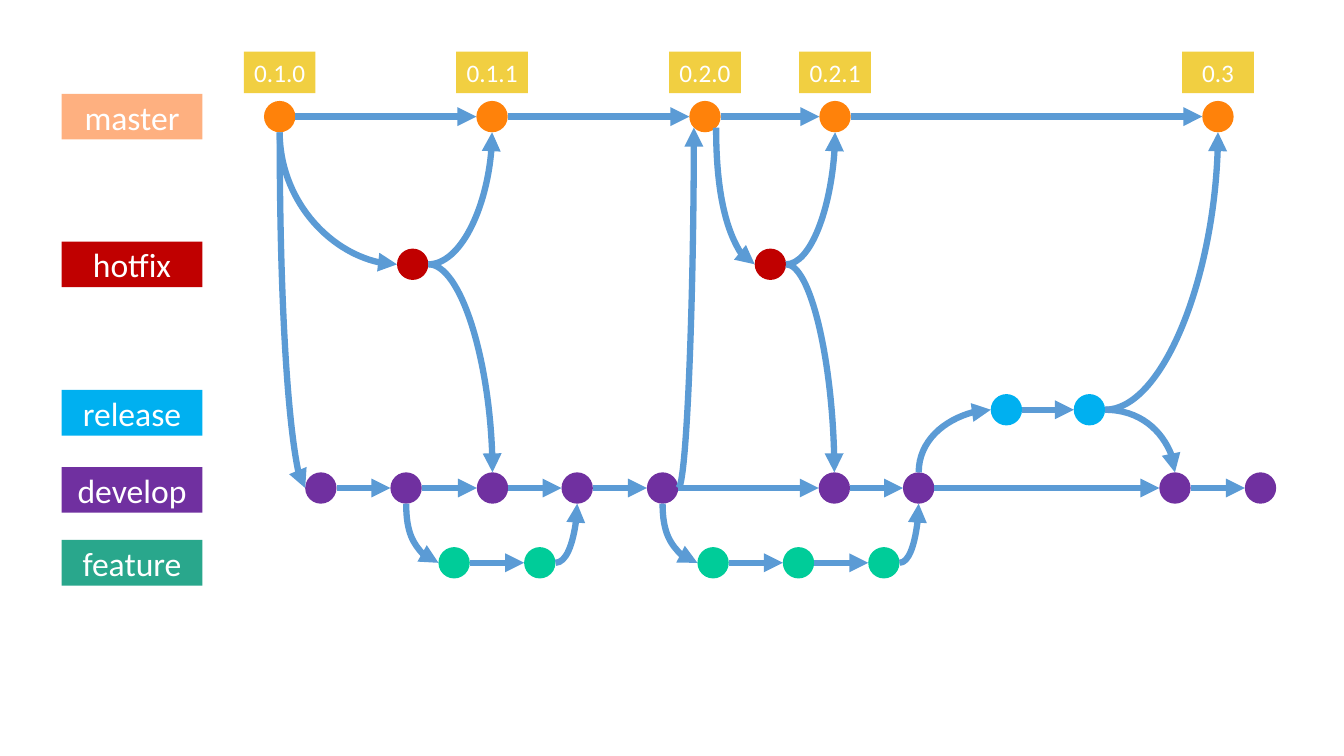
import pptx
import pptx.dml.color
import pptx.enum.shapes
import pptx.enum.text
import pptx.oxml
import pptx.oxml.ns
import pptx.util

Pt = pptx.util.Pt
SHAPES = pptx.enum.shapes.MSO_SHAPE
CONNECTORS = pptx.enum.shapes.MSO_CONNECTOR

FONT, WHITE, ARROW_COLOR, TAG_COLOR = "Calibri", "FFFFFF", "5B9BD5", "F1CF41"
ARROW_WIDTH = 4.5
RADIUS = 11.2
LABEL_LEFT, LABEL_WIDTH, LABEL_HEIGHT = 44, 100.6, 32.6
TAG_TOP, TAG_WIDTH, TAG_HEIGHT = 37, 51.2, 29.6

# branch: (label colour, commit colour, label top, commit centre y, chains of commit centre x)
BRANCHES = {
    "master": ("FEB080", "FF820A", 67, 83.3, [[199.8, 351.5, 503.6, 596.5, 870]]),
    "hotfix": ("C00000", "C00000", 172.6, 188.8, [[294.8], [550.3]]),
    "release": ("00B0F0", "00B0F0", 278.6, 292.7, [[718.9, 778.2]]),
    "develop": ("7030A0", "7030A0", 333.6, 348.6,
                [[229.2, 290.1, 351.8, 412.3, 473.3, 596, 656.2, 839.3, 900.4]]),
    "feature": ("29A78C", "00CC99", 385.7, 402, [[324.4, 385.6], [509.4, 570.4, 631.4]]),
}

TAGS = ["0.1.0", "0.1.1", "0.2.0", "0.2.1", "0.3"]

# (branch, commit index, side) at the start and at the end of each merge or fork
CURVES = [
    (("develop", 1, "bottom"), ("feature", 0, "left")),
    (("feature", 1, "right"), ("develop", 3, "bottom")),
    (("develop", 4, "bottom"), ("feature", 2, "left")),
    (("feature", 4, "right"), ("develop", 6, "bottom")),
    (("develop", 6, "top"), ("release", 0, "left")),
    (("develop", 4, "right"), ("master", 2, "bottom left")),
    (("master", 0, "bottom"), ("develop", 0, "left")),
    (("release", 1, "right"), ("master", 4, "bottom")),
    (("release", 1, "right"), ("develop", 7, "top")),
    (("master", 0, "bottom"), ("hotfix", 0, "left")),
    (("hotfix", 0, "right"), ("master", 1, "bottom")),
    (("hotfix", 0, "right"), ("develop", 2, "top")),
    (("master", 2, "bottom right"), ("hotfix", 1, "left")),
    (("hotfix", 1, "right"), ("develop", 5, "top")),
    (("hotfix", 1, "right"), ("master", 3, "bottom")),
]

SIDES = {
    "top": (0, -1), "bottom": (0, 1), "left": (-1, 0), "right": (1, 0),
    "bottom left": (-0.71, 0.71), "bottom right": (0.71, 0.71),
}


def rgb(color):
    return pptx.dml.color.RGBColor.from_string(color)


def add_block(slide, kind, left, top, width, height, color, text="", size=18):
    block = slide.shapes.add_shape(kind, Pt(left), Pt(top), Pt(width), Pt(height))
    block.shadow.inherit = False
    block.fill.solid()
    block.fill.fore_color.rgb = rgb(color)
    block.line.fill.background()
    if text:
        frame = block.text_frame
        frame.vertical_anchor = pptx.enum.text.MSO_ANCHOR.MIDDLE
        paragraph = frame.paragraphs[0]
        paragraph.text = text
        paragraph.alignment = pptx.enum.text.PP_ALIGN.CENTER
        paragraph.font.name = FONT
        paragraph.font.size = Pt(size)
        paragraph.font.color.rgb = rgb(WHITE)


def add_arrow(slide, kind, start, end):
    arrow = slide.shapes.add_connector(kind, *(Pt(value) for value in (*start, *end)))
    arrow.line.color.rgb = rgb(ARROW_COLOR)
    arrow.line.width = Pt(ARROW_WIDTH)
    outline = arrow.line._get_or_add_ln()
    outline.append(pptx.oxml.parse_xml(
        f'<a:tailEnd {pptx.oxml.ns.nsdecls("a")} type="triangle"/>'))
    arrow.element.spPr.append(pptx.oxml.parse_xml(
        f'<a:effectLst {pptx.oxml.ns.nsdecls("a")}/>'))
    return arrow


def add_curve(slide, start, end, leaves_vertically):
    """Add a quarter-turn arrow; one that leaves vertically is a rotated one."""
    rotation = 0
    if leaves_vertically:
        center_x, center_y = (start[0] + end[0]) / 2, (start[1] + end[1]) / 2
        half_x, half_y = (end[0] - start[0]) / 2, (end[1] - start[1]) / 2
        going_down = half_y > 0
        rotation = 270 if going_down else 90
        drop = half_x if going_down else -half_x
        start = (center_x + abs(half_y), center_y - drop)
        end = (center_x - abs(half_y), center_y + drop)
    curve = add_arrow(slide, CONNECTORS.CURVE, start, end)
    curve.element.spPr.find(pptx.oxml.ns.qn("a:prstGeom")).set("prst", "curvedConnector2")
    curve.rotation = rotation


def side_point(branch, index, side):
    commit_y, chains = BRANCHES[branch][3:]
    commit_x = sum(chains, [])[index]
    toward_x, toward_y = SIDES[side]
    return commit_x + RADIUS * toward_x, commit_y + RADIUS * toward_y


def main():
    deck = pptx.Presentation()
    deck.slide_width, deck.slide_height = Pt(960), Pt(540)
    slide = deck.slides.add_slide(deck.slide_layouts[6])

    for branch, (label_color, commit_color, label_top, y, chains) in BRANCHES.items():
        add_block(slide, SHAPES.RECTANGLE, LABEL_LEFT, label_top, LABEL_WIDTH,
                  LABEL_HEIGHT, label_color, branch, 24)
        for chain in chains:
            for x in chain:
                add_block(slide, SHAPES.OVAL, x - RADIUS, y - RADIUS,
                          2 * RADIUS, 2 * RADIUS, commit_color)
            for x, next_x in zip(chain, chain[1:]):
                add_arrow(slide, CONNECTORS.STRAIGHT, (x + RADIUS, y), (next_x - RADIUS, y))

    for origin, target in CURVES:
        add_curve(slide, side_point(*origin), side_point(*target), origin[2] != "right")

    for tag, x in zip(TAGS, BRANCHES["master"][4][0]):
        add_block(slide, SHAPES.RECTANGLE, x - TAG_WIDTH / 2, TAG_TOP,
                  TAG_WIDTH, TAG_HEIGHT, TAG_COLOR, tag)

    deck.save("out.pptx")


if __name__ == "__main__":
    main()
